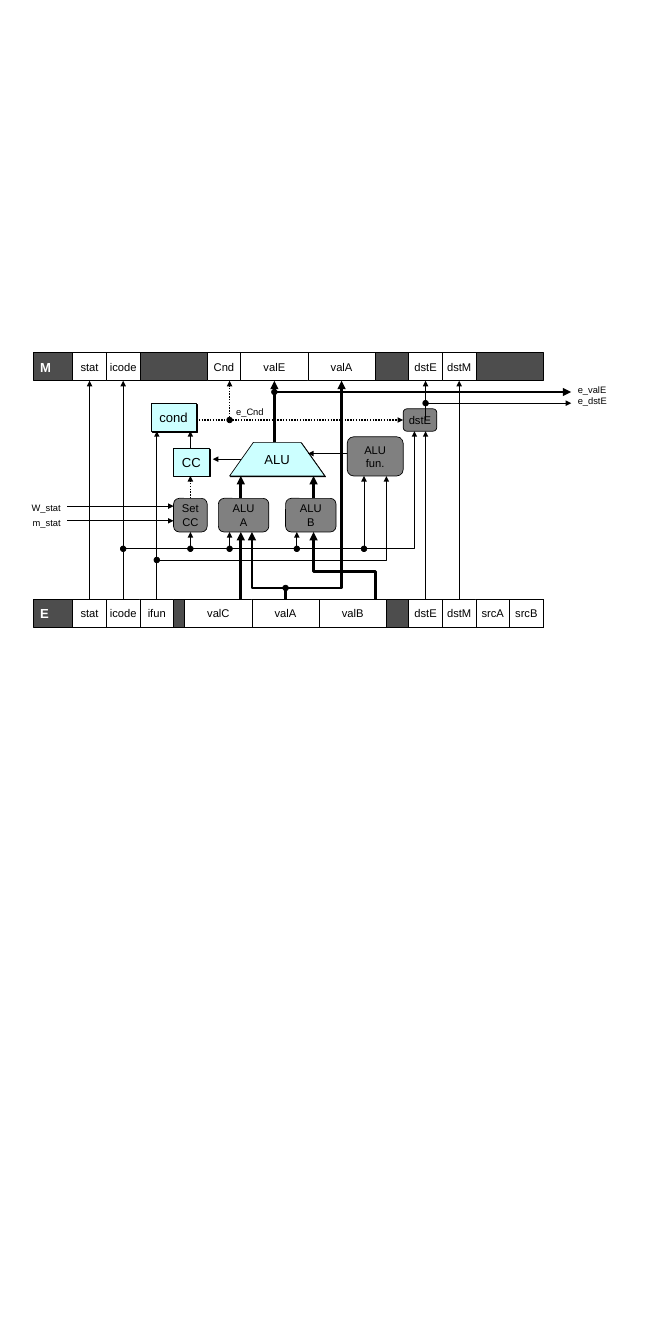
from lxml import etree
from pptx import Presentation
from pptx import util as u
from pptx.dml.color import RGBColor
from pptx.enum import dml, shapes, text
from pptx.oxml.ns import qn

PX = 9525  # EMU, 96 px to the inch
COLORS = {"ink": "000000", "paper": "FFFFFF", "register": "4D4D4D",
          "unit": "CCFFFF", "logic": "808080"}
RECT = shapes.MSO_SHAPE.RECTANGLE
ROUNDED = shapes.MSO_SHAPE.ROUNDED_RECTANGLE
OVAL = shapes.MSO_SHAPE.OVAL


def rgb(name):
    return RGBColor.from_string(COLORS[name])


def dress(shape, words, fill, size=12):
    """Fill, outline and label a block; hardware units also cast a hard shadow."""
    shape.shadow.inherit = False
    shape.fill.solid()
    shape.fill.fore_color.rgb = rgb(fill)
    shape.line.color.rgb = rgb("ink")
    shape.line.width = u.Pt(0.75)
    if fill == "unit":
        effects = shape.element.spPr.find(qn("a:effectLst"))
        shadow = etree.SubElement(effects, qn("a:outerShdw"), dist=str(u.Pt(1.4)),
                                  dir="2700000", algn="ctr", rotWithShape="0")
        etree.SubElement(shadow, qn("a:srgbClr"), val=COLORS["ink"])
    if not words:
        return
    frame = shape.text_frame
    frame.text = words
    frame.vertical_anchor = text.MSO_ANCHOR.MIDDLE
    register = fill == "register"
    frame.word_wrap = register
    if not register:
        frame.margin_left = frame.margin_right = frame.margin_top = frame.margin_bottom = 0
    for paragraph in frame.paragraphs:
        paragraph.alignment = text.PP_ALIGN.LEFT if register else text.PP_ALIGN.CENTER
        font = paragraph.runs[0].font
        font.name, font.size, font.bold = "Arial", u.Pt(size), register
        font.color.rgb = rgb("paper" if register else "ink")


prs = Presentation()
prs.slide_width, prs.slide_height = 960 * PX, 1920 * PX
slide = prs.slides.add_slide(prs.slide_layouts[6])
canvas = slide.shapes

# Pipeline registers and their fields: name, left, width
M_TOP, E_TOP, ROW = 504, 856, 40
registers = [
    ("M", M_TOP, [("stat", 104, 48), ("icode", 152, 48), ("Cnd", 296, 48), ("valE", 344, 96),
                  ("valA", 440, 96), ("dstE", 584, 48), ("dstM", 632, 48)]),
    ("E", E_TOP, [("stat", 104, 48), ("icode", 152, 48), ("ifun", 200, 48), ("valC", 264, 96),
                  ("valA", 360, 96), ("valB", 456, 96), ("dstE", 584, 48), ("dstM", 632, 48),
                  ("srcA", 680, 48), ("srcB", 728, 48)]),
]
blocks = []
for register, top, fields in registers:
    blocks.append((register, 48, top, 728, ROW, RECT, "register", 14))
    blocks += [(field, left, top, width, ROW, RECT, "paper", 12) for field, left, width in fields]
blocks += [
    ("cond", 216, 576, 64, 40, RECT, "unit", 14),
    ("CC", 248, 640, 51, 40, RECT, "unit", 14),
    ("Set\nCC", 248, 712, 48, 48, ROUNDED, "logic", 12),
    ("ALU\nA", 312, 712, 72, 48, ROUNDED, "logic", 12),
    ("ALU\nB", 408, 712, 72, 48, ROUNDED, "logic", 12),
    ("ALU\nfun.", 496, 624, 80, 56, ROUNDED, "logic", 12),
    ("dstE", 576, 584, 48, 32, ROUNDED, "logic", 12),
]
sites = {}  # middle of a block's side -> block, connection index
for words, left, top, width, height, kind, fill, size in blocks:
    block = canvas.add_shape(kind, left * PX, top * PX, width * PX, height * PX)
    dress(block, words, fill, size)
    middle_x, middle_y = left + width / 2, top + height / 2
    for index, point in enumerate([(middle_x, top), (left, middle_y),
                                   (middle_x, top + height), (left + width, middle_y)]):
        sites[point] = block, index

outline = canvas.build_freeform(328, 680, scale=PX)
outline.add_line_segments([(362, 632), (430, 632), (464, 680)], close=True)
dress(outline.convert_to_shape(), "ALU", "unit", 14)

# Signals: line width in points, dotted, corner points
M_BOTTOM = M_TOP + ROW
signals = [(1, False, [(x, E_TOP), (x, end)])
           for x, end in [(128, M_BOTTOM), (176, M_BOTTOM), (224, 616),
                          (608, 616), (656, M_BOTTOM)]]
signals += [(1, False, [(x, 784), (x, end)])
            for x, end in [(272, 760), (328, 760), (424, 760), (520, 680)]]
signals += [
    (1.5, True, [(280, 600), (576, 600)]),
    (1.5, True, [(328, 600), (328, M_BOTTOM)]),
    (1.5, True, [(272, 712), (272, 680)]),
    (0.75, False, [(345, 656), (304, 656)]),
    (0.75, False, [(496, 648), (440, 648)]),
    (1, False, [(272, 640), (272, 616)]),
    (1, False, [(608, 600), (608, M_BOTTOM)]),
    (1, False, [(608, 576), (816, 576)]),
    (1, False, [(96, 723), (248, 723)]),
    (1, False, [(96, 744), (248, 744)]),
    (1, False, [(176, 784), (592, 784), (592, 616)]),
    (1, False, [(224, 800), (552, 800), (552, 680)]),
    (3, False, [(392, 632), (392, M_BOTTOM)]),
    (3, False, [(392, 560), (816, 560)]),
    (3, False, [(344, 712), (344, 680)]),
    (3, False, [(448, 712), (448, 680)]),
    (3, False, [(344, E_TOP), (344, 760)]),
    (3, False, [(408, E_TOP), (408, 840), (360, 840), (360, 760)]),
    (3, False, [(536, E_TOP), (536, 816), (448, 816), (448, 760)]),
    (3, False, [(408, 840), (488, 840), (488, M_BOTTOM)]),
]
for weight, dotted, points in signals:
    start, end = points[0], points[-1]
    if len(points) == 2:
        signal = canvas.add_connector(shapes.MSO_CONNECTOR.STRAIGHT,
                                      *[value * PX for value in start + end])
        if start in sites:
            signal.begin_connect(*sites[start])
        if end in sites:
            signal.end_connect(*sites[end])
    else:
        bends = canvas.build_freeform(*start, scale=PX)
        bends.add_line_segments(points[1:], close=False)
        signal = bends.convert_to_shape()
        signal.fill.background()
    signal.line.color.rgb = rgb("ink")
    signal.line.width = u.Pt(weight)
    if dotted:
        signal.line.dash_style = dml.MSO_LINE.ROUND_DOT
    properties = signal.element.spPr
    etree.SubElement(properties.find(qn("a:ln")), qn("a:tailEnd"), type="triangle")
    etree.SubElement(properties, qn("a:effectLst"))

# Junctions where a signal branches
for x, y in [(176, 784), (272, 784), (328, 784), (424, 784), (520, 784), (224, 800),
             (408, 840), (392, 560), (608, 576), (328, 600)]:
    junction = canvas.add_shape(OVAL, (x - 4) * PX, (y - 4) * PX, 8 * PX, 8 * PX)
    dress(junction, "", "ink")

LEFT, RIGHT = text.PP_ALIGN.LEFT, text.PP_ALIGN.RIGHT
for words, left, top, width, alignment in [
        ("e_valE", 816, 544, 96, LEFT), ("e_dstE", 816, 560, 96, LEFT),
        ("e_Cnd", 328, 576, 96, LEFT), ("W_stat", 32, 712, 64, RIGHT),
        ("m_stat", 32, 734, 64, RIGHT)]:
    frame = canvas.add_textbox(left * PX, top * PX, width * PX, 26 * PX).text_frame
    frame.word_wrap = True
    frame.text = words
    label = frame.paragraphs[0]
    label.alignment = alignment
    font = label.runs[0].font
    font.name, font.size = "Arial", u.Pt(10)
    font.color.rgb = rgb("ink")

prs.save("out.pptx")
